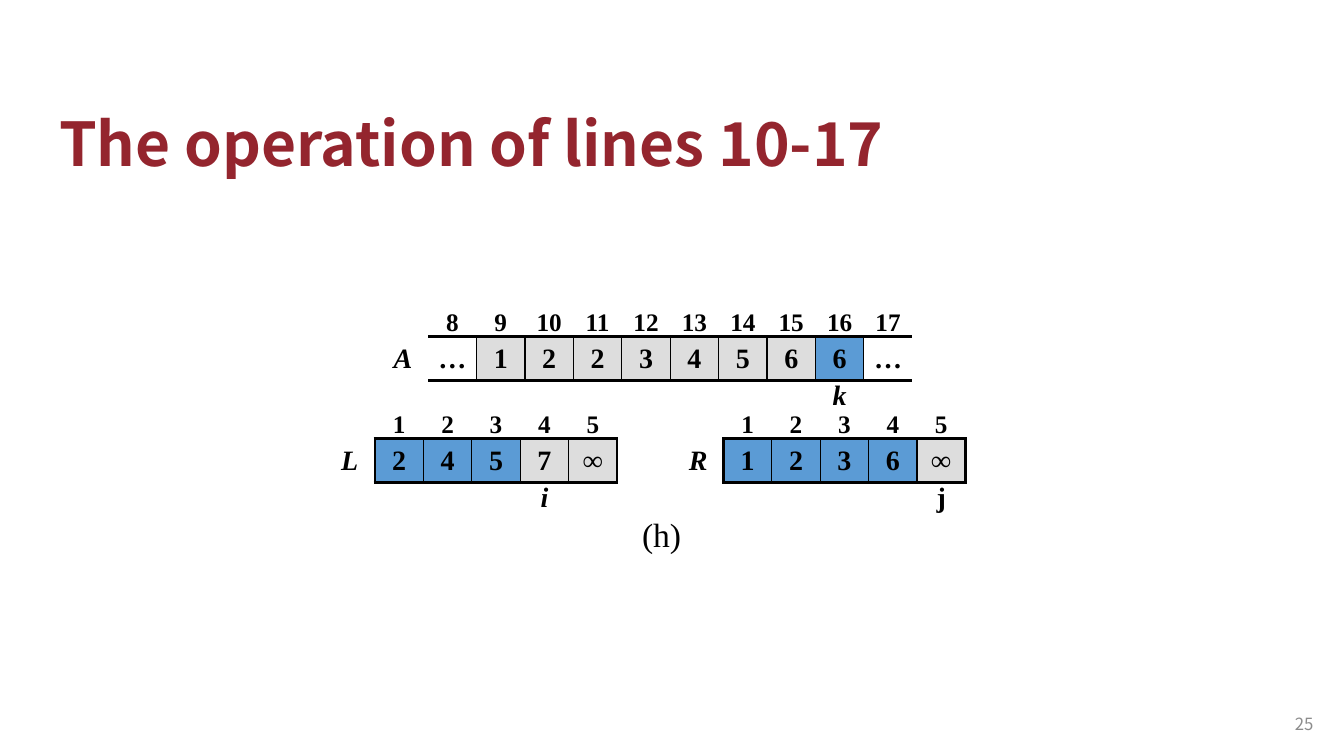
import pptx
import pptx.dml.color
import pptx.enum.text
import pptx.oxml
import pptx.oxml.ns
import pptx.util
from pptx.util import Cm, Pt

RGBColor = pptx.dml.color.RGBColor
ALIGN = pptx.enum.text.PP_ALIGN
ANCHOR = pptx.enum.text.MSO_ANCHOR

RED = RGBColor(0x94, 0x25, 0x2E)
BLACK = RGBColor(0, 0, 0)
GREY = RGBColor(0x8C, 0x8C, 0x8C)
PENDING = RGBColor(0xDD, 0xDD, 0xDD)
DONE = RGBColor(0x5B, 0x9B, 0xD5)
SANS, SERIF = "Noto Sans CJK SC", "Times New Roman"

TITLE = "The operation of lines 10-17"
STEP = "(h)"
PAGE = "25"

# left and top are in cm; "done" holds the indices of the blue cells
ARRAYS = [
    dict(name="A", left=9.52, top=7.49, first=8, values="… 1 2 2 3 4 5 6 6 …".split(),
         done=[16], pointer="k", at=16, italic=True, closed=False),
    dict(name="L", left=8.18, top=10.06, first=1, values="2 4 5 7 ∞".split(),
         done=[1, 2, 3], pointer="i", at=4, italic=True, closed=True),
    dict(name="R", left=16.96, top=10.06, first=1, values="1 2 3 6 ∞".split(),
         done=[1, 2, 3, 4], pointer="j", at=5, italic=False, closed=True),
]

NAME_WIDTH, CELL_WIDTH = 1.27, 1.22
ROW_HEIGHTS = [0.99, 1.1, 0.99]
ROW_ANCHORS = [ANCHOR.BOTTOM, ANCHOR.MIDDLE, ANCHOR.TOP]
ROW_INSETS = [(0.13, 0), (0.13, 0.13), (0, 0.13)]
THICK, THIN = Pt(2.25), Pt(1)


def style(paragraph, size, font, color, bold=False, italic=False):
    for run in paragraph.runs:
        run.font.size = Pt(size)
        run.font.name = font
        run.font.color.rgb = color
        run.font.bold = bold
        run.font.italic = italic


def add_text(slide, text, left, top, width, height, anchor, align, size, font, color,
             bold=False, wrap=True):
    frame = slide.shapes.add_textbox(Cm(left), Cm(top), Cm(width), Cm(height)).text_frame
    frame.word_wrap = wrap
    frame.vertical_anchor = anchor
    line = frame.paragraphs[0]
    line.text = text
    line.alignment = align
    style(line, size, font, color, bold)
    return frame


def set_borders(cell, widths):
    """Draw the given sides in black and hide the others."""
    properties = cell._tc.get_or_add_tcPr()
    for place, side in enumerate("LRTB"):
        width = widths.get(side)
        paint = f'<a:solidFill><a:srgbClr val="{BLACK}"/></a:solidFill>' if width else "<a:noFill/>"
        border = pptx.oxml.parse_xml(
            f'<a:ln{side} {pptx.oxml.ns.nsdecls("a")} w="{width or 0}">{paint}</a:ln{side}>')
        properties.insert(place, border)


def cell_borders(row, column, last, closed):
    if column == 0:
        return {"R": THICK} if row == 1 and closed else {}
    if row == 0:
        return {"B": THICK}
    if row == 2:
        return {"T": THICK}
    edge = THICK if closed else None
    return {"T": THICK, "B": THICK,
            "L": edge if column == 1 else THIN,
            "R": edge if column == last else THIN}


def add_array(slide, array):
    values, first = array["values"], array["first"]
    indices = range(first, first + len(values))
    rows = [
        [""] + [str(index) for index in indices],
        [array["name"]] + values,
        [""] + [array["pointer"] if index == array["at"] else "" for index in indices],
    ]
    width = NAME_WIDTH + CELL_WIDTH * len(values)
    table = slide.shapes.add_table(
        len(rows), len(rows[0]), Cm(array["left"]), Cm(array["top"]),
        Cm(width), Cm(sum(ROW_HEIGHTS))).table
    table.first_row = table.horz_banding = False
    for column in range(len(rows[0])):
        table.columns[column].width = Cm(CELL_WIDTH if column else NAME_WIDTH)
    for row, texts in enumerate(rows):
        table.rows[row].height = Cm(ROW_HEIGHTS[row])
        for column, text in enumerate(texts):
            cell = table.cell(row, column)
            cell.vertical_anchor = ROW_ANCHORS[row]
            cell.margin_top, cell.margin_bottom = (Cm(inset) for inset in ROW_INSETS[row])
            line = cell.text_frame.paragraphs[0]
            line.text = text
            line.alignment = ALIGN.CENTER
            italic = column == 0 or (row == 2 and array["italic"])
            style(line, 20 if row else 18, SERIF, BLACK, bold=True, italic=italic)
            if row == 1 and column and text != "…":
                cell.fill.solid()
                done = indices[column - 1] in array["done"]
                cell.fill.fore_color.rgb = DONE if done else PENDING
            else:
                cell.fill.background()
            set_borders(cell, cell_borders(row, column, len(values), array["closed"]))


def main():
    deck = pptx.Presentation()
    deck.slide_width, deck.slide_height = Cm(33.87), Cm(19.05)
    slide = deck.slides.add_slide(deck.slide_layouts[6])
    add_text(slide, PAGE, 31.83, 17.73, 1.52, 1.02, ANCHOR.MIDDLE, ALIGN.RIGHT, 12, SANS, GREY)
    title = add_text(slide, TITLE, 1.24, 2.24, 21.41, 2.41, ANCHOR.BOTTOM, ALIGN.LEFT,
                     43.2, SANS, RED, bold=True)
    title.paragraphs[0].line_spacing = 0.9
    for array in ARRAYS:
        add_array(slide, array)
    add_text(slide, STEP, 15.93, 12.83, 1.5, 1.27, ANCHOR.TOP, ALIGN.LEFT, 24, SERIF, BLACK,
             wrap=False)
    deck.save("out.pptx")


if __name__ == "__main__":
    main()
